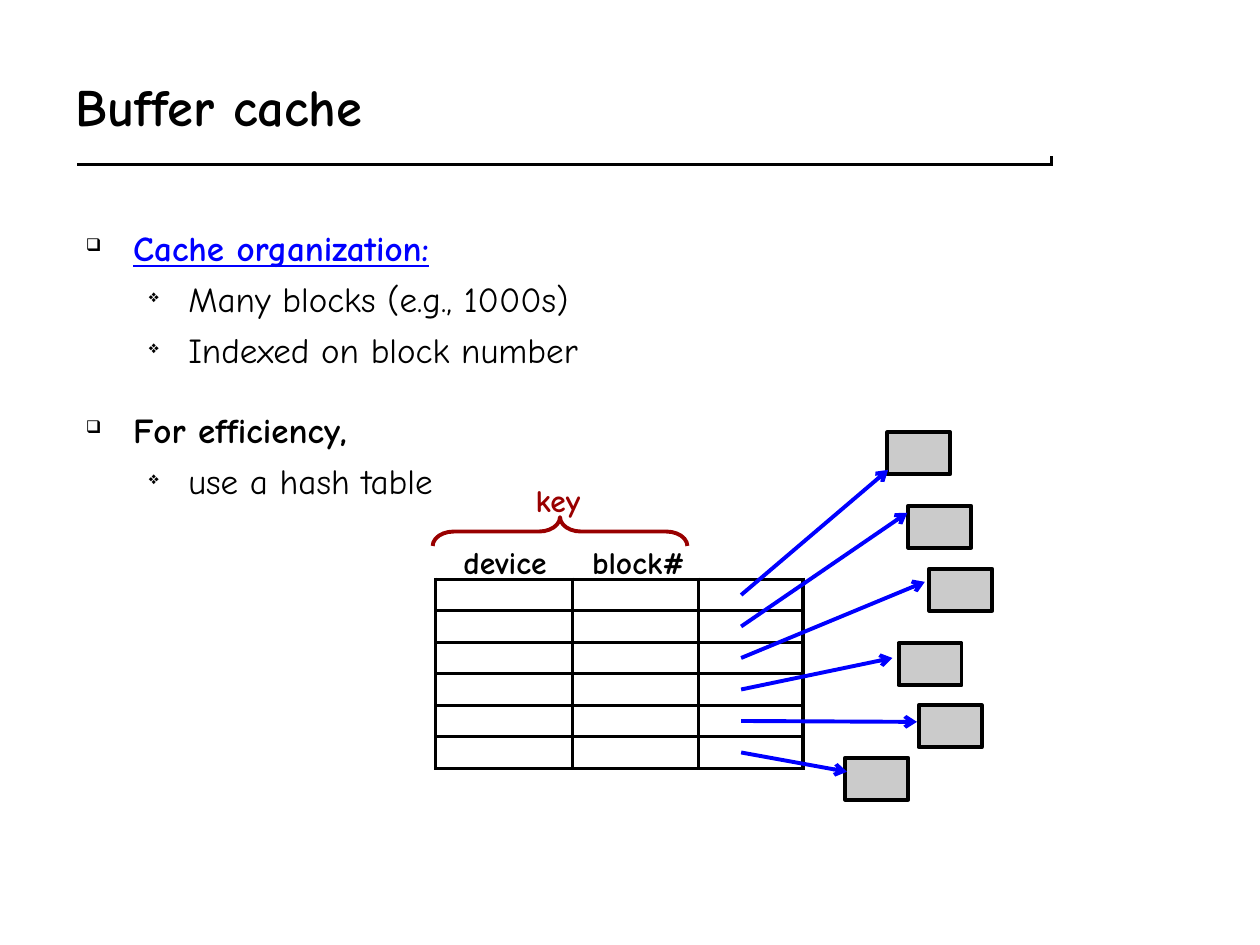
from pptx import Presentation
from pptx.util import Pt
from pptx.dml.color import RGBColor
from pptx.enum.shapes import MSO_SHAPE, MSO_CONNECTOR
from pptx.enum.text import MSO_ANCHOR, MSO_AUTO_SIZE, PP_ALIGN
from pptx.oxml import parse_xml
from pptx.oxml.ns import nsdecls
from lxml.etree import SubElement

HUES = {"ink": "000000", "paper": "FFFFFF", "link": "0000FF",
        "key": "990000", "block": "CBCBCB"}
FACE = "Comic Neue"
LINE = 2.25

TITLE = "Buffer cache"
# text, level, space before, run format
POINTS = [
    ("Cache organization:", 0, 0, {"bold": True, "underline": True, "hue": "link"}),
    ("Many blocks (e.g., 1000s)", 1, 5, {}),
    ("Indexed on block number", 1, 5, {}),
    ("For efficiency,", 0, 22, {"bold": True}),
    ("use a hash table", 1, 5, {}),
]
# bullet, left margin, indent
LEVELS = [("❑", 27, -27), ("❖", 58.5, -22.5)]

GRID = {"left": 249, "top": 331, "cols": [78, 72, 60], "rows": 6, "high": 18}
BLOCKS = [(507, 247), (519, 289), (531, 325), (513.5, 367.5), (525, 403), (483, 433)]
BLOCK = (36, 24)
TAIL = 423.5
TIPS = [(507.5, 268.5), (518.5, 293), (528.5, 332.5),
        (510, 376), (524, 412.5), (484, 441)]


def rgb(hue):
    return RGBColor.from_string(HUES[hue])


def write(para, text, size, hue="ink", **look):
    run = para.add_run()
    run.text = text
    run.font.color.rgb = rgb(hue)
    for name, value in {"name": FACE, "size": Pt(size), **look}.items():
        setattr(run.font, name, value)


def add_text(slide, area):
    frame = slide.shapes.add_textbox(*map(Pt, area)).text_frame
    frame.word_wrap = True
    return frame


def add_line(slide, start, end, hue, width, arrow=False):
    line = slide.shapes.add_connector(MSO_CONNECTOR.STRAIGHT, *map(Pt, start + end))
    line.line.color.rgb = rgb(hue)
    line.line.width = Pt(width)
    if arrow:
        line.line._get_or_add_ln().append(
            parse_xml(f'<a:tailEnd {nsdecls("a")} type="arrow"/>'))
    line._element.spPr.append(parse_xml(f'<a:effectLst {nsdecls("a")}/>'))


def add_shape(slide, kind, area, hue, fill=None):
    shape = slide.shapes.add_shape(kind, *map(Pt, area))
    shape.shadow.inherit = False
    shape.line.color.rgb = rgb(hue)
    shape.line.width = Pt(LINE)
    if fill:
        shape.fill.solid()
        shape.fill.fore_color.rgb = rgb(fill)
    else:
        shape.fill.background()
    return shape


def add_title(slide):
    title = slide.shapes.title
    place = {"left": 36, "top": 24, "width": 618, "height": 72}
    for name, value in place.items():
        setattr(title, name, Pt(value))
    frame = title.text_frame
    frame.auto_size = MSO_AUTO_SIZE.NONE
    frame.vertical_anchor = MSO_ANCHOR.MIDDLE
    para = frame.paragraphs[0]
    para.alignment = PP_ALIGN.LEFT
    write(para, TITLE, 30, bold=True)


def add_points(slide):
    frame = add_text(slide, (42, 126, 612, 354))
    for i, (text, level, gap, look) in enumerate(POINTS):
        para = frame.add_paragraph() if i else frame.paragraphs[0]
        para.level = level
        para.space_before = Pt(gap)
        mark, left, indent = LEVELS[level]
        props = para._p.get_or_add_pPr()
        props.set("marL", str(Pt(left)))
        props.set("indent", str(Pt(indent)))
        for xml in (f'<a:buClr {nsdecls("a")}><a:srgbClr val="{HUES["ink"]}"/></a:buClr>',
                    f'<a:buSzPct {nsdecls("a")} val="50000"/>',
                    f'<a:buChar {nsdecls("a")} char="{mark}"/>'):
            props.append(parse_xml(xml))
        write(para, text, 20, **look)


def frame_cell(cell):
    """Leave the cell unfilled, rule its four sides and keep its row low."""
    for side in ("left", "right", "top", "bottom"):
        setattr(cell, f"margin_{side}", 0)
    props = cell._tc.get_or_add_tcPr()
    for side in ("lnL", "lnR", "lnT", "lnB"):
        props.append(parse_xml(
            f'<a:{side} {nsdecls("a")} w="{Pt(LINE)}"><a:solidFill>'
            f'<a:srgbClr val="{HUES["ink"]}"/></a:solidFill></a:{side}>'))
    cell.fill.background()
    para = cell.text_frame.paragraphs[0]._p
    SubElement(para, para.tag[:-1] + "endParaRPr", sz="1000")


def add_grid(slide):
    cols, rows, high = GRID["cols"], GRID["rows"], GRID["high"]
    area = (GRID["left"], GRID["top"], sum(cols), rows * high)
    table = slide.shapes.add_table(rows, len(cols), *map(Pt, area)).table
    table.first_row = table.horz_banding = False
    for col, width in zip(table.columns, cols):
        col.width = Pt(width)
    for row in table.rows:
        row.height = Pt(high)
        for cell in row.cells:
            frame_cell(cell)


def add_heads(slide):
    para = add_text(slide, (257.75, 306.5, 150, 29)).paragraphs[0]
    para._p.get_or_add_pPr().append(parse_xml(
        f'<a:tabLst {nsdecls("a")}><a:tab pos="{Pt(73.5)}" algn="l"/></a:tabLst>'))
    write(para, "device\tblock#", 18, bold=True)
    brace = add_shape(slide, MSO_SHAPE.LEFT_BRACE, (311.75, 231, 16.5, 145.5), "key")
    brace.rotation = 90
    brace.adjustments[0] = 0.73
    key = add_text(slide, (299, 271.5, 45, 29)).paragraphs[0]
    write(key, "key", 18, "key", bold=True)


def add_blocks(slide):
    for spot in BLOCKS:
        add_shape(slide, MSO_SHAPE.RECTANGLE, spot + BLOCK, "ink", "block")
    for i, tip in enumerate(TIPS):
        start = (TAIL, GRID["top"] + (i + 0.5) * GRID["high"])
        add_line(slide, start, tip, "link", LINE, arrow=True)


def main():
    deck = Presentation()
    deck.slide_width, deck.slide_height = Pt(720), Pt(540)
    slide = deck.slides.add_slide(deck.slide_layouts[5])
    add_line(slide, (44, 92), (602, 92), "ink", 6)
    add_line(slide, (42, 90), (600, 90), "paper", 6)
    add_title(slide)
    add_points(slide)
    add_grid(slide)
    add_heads(slide)
    add_blocks(slide)
    deck.save("out.pptx")


if __name__ == "__main__":
    main()
